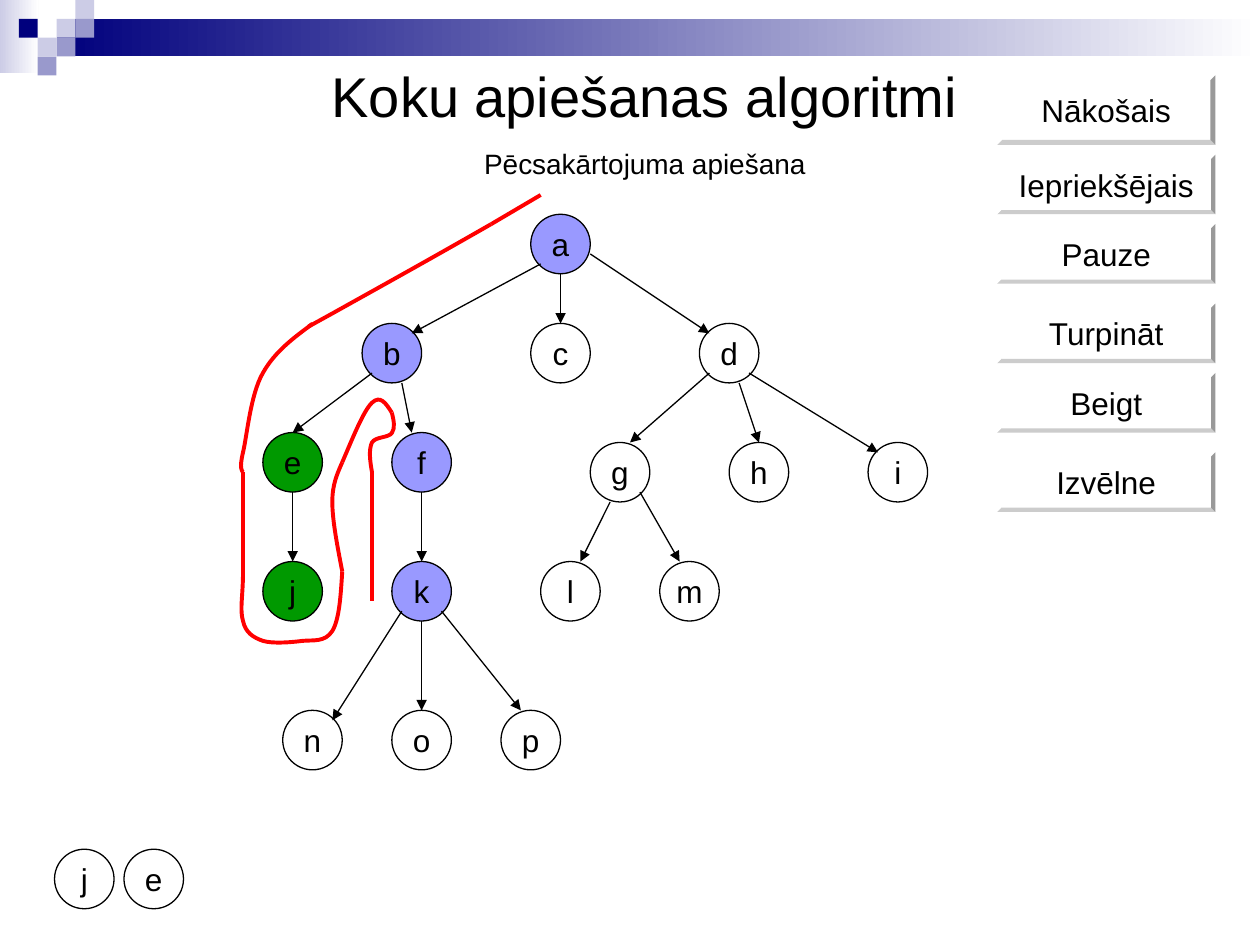
"""Build the slide on post-order tree traversal."""
from dataclasses import dataclass
from typing import Any

import pptx
import pptx.dml.color
import pptx.enum.shapes
import pptx.enum.text
import pptx.oxml
import pptx.oxml.ns
import pptx.util

Cm = pptx.util.Cm
Shape = pptx.enum.shapes.MSO_SHAPE
Point = tuple[float, float]

BLACK, WHITE, RED = "000000", "FFFFFF", "FF0000"
VISITED, FINISHED = "9999FF", "009900"
PALE, MEDIUM, NAVY = "CCCCE6", "9999CC", "00007D"
CELL = 0.38
DIAMETER = 1.2
FRAME_FORMAT = {"word_wrap": False, "vertical_anchor": pptx.enum.text.MSO_ANCHOR.MIDDLE}


@dataclass
class Node:
    label: str
    x: float
    y: float
    fill: str = WHITE


@dataclass
class Edge:
    parent: str
    child: str
    leave: Point = (0, 0.6)
    arrive: Point = (0, -0.6)


@dataclass
class Button:
    label: str
    top: float
    height: float = 1.2


@dataclass
class Curve:
    start: Point
    bends: list[Point]


NODES = [
    Node("a", 11.3, 4.92, VISITED),
    Node("b", 7.9, 7.12, VISITED), Node("c", 11.3, 7.12), Node("d", 14.7, 7.12),
    Node("e", 5.9, 9.32, FINISHED), Node("f", 8.5, 9.32, VISITED),
    Node("g", 12.5, 9.52), Node("h", 15.3, 9.52), Node("i", 18.1, 9.52),
    Node("j", 5.9, 11.92, FINISHED), Node("k", 8.5, 11.92, VISITED),
    Node("l", 11.5, 11.92), Node("m", 13.9, 11.92),
    Node("n", 6.3, 14.92), Node("o", 8.5, 14.92), Node("p", 10.7, 14.92),
]
OUTPUT = [Node("j", 1.7, 17.72), Node("e", 3.1, 17.72)]
EDGES = [
    Edge("a", "b", (-0.4, 0.4), (0.4, -0.4)),
    Edge("a", "c"),
    Edge("a", "d", (0.6, 0.2), (-0.4, -0.4)),
    Edge("b", "e", (-0.4, 0.4)),
    Edge("b", "f", (0.2, 0.6), (-0.2, -0.6)),
    Edge("d", "g", (-0.4, 0.4), (0.2, -0.6)),
    Edge("d", "h", (0.2, 0.6)),
    Edge("d", "i", (0.4, 0.4), (-0.4, -0.4)),
    Edge("e", "j"),
    Edge("f", "k"),
    Edge("g", "l", (-0.2, 0.6), (0.2, -0.6)),
    Edge("g", "m", (0.4, 0.4), (-0.2, -0.6)),
    Edge("k", "n", (-0.4, 0.4), (0.4, -0.4)),
    Edge("k", "o"),
    Edge("k", "p", (0.4, 0.4), (-0.2, -0.6)),
]
BUTTONS = [
    Button("Nākošais", 1.52, 1.4), Button("Iepriekšējais", 3.12), Button("Pauze", 4.52),
    Button("Turpināt", 6.12), Button("Beigt", 7.52), Button("Izvēlne", 9.12),
]
SQUARES = [
    (3, 1, PALE), (4, 0, PALE), (4, 1, MEDIUM), (2, 2, PALE),
    (1, 1, NAVY), (3, 2, MEDIUM), (2, 3, MEDIUM),
]
TRAIL = [
    Curve((9.9, 4.52), [(8.61, 5.26), (7.29, 5.99), (6.7, 6.32),
                        (6.1, 6.65), (6.2, 6.6), (6.3, 6.53)]),
    Curve((6.3, 6.53), [(5.92, 6.81), (5.54, 7.09), (5.3, 7.52),
                        (5.05, 7.95), (4.98, 8.79), (4.9, 9.12),
                        (4.82, 9.45), (4.88, 9.5), (4.9, 9.52)]),
    Curve((4.9, 9.52), [(4.9, 10.29), (4.9, 11.02), (4.9, 11.52),
                        (4.9, 12.02), (4.83, 12.29), (4.9, 12.52),
                        (4.95, 12.75), (5.1, 12.85), (5.3, 12.92),
                        (5.5, 12.98), (5.87, 12.95), (6.1, 12.92),
                        (6.33, 12.9), (6.55, 12.95), (6.7, 12.72),
                        (6.84, 12.49), (6.87, 12.01), (6.9, 11.52)]),
    Curve((6.9, 11.52), [(6.8, 11), (6.7, 10.49), (6.7, 10.12),
                         (6.7, 9.76), (6.8, 9.55), (6.9, 9.32)]),
    Curve((6.9, 9.32), [(7.12, 8.81), (7.33, 8.28), (7.5, 8.12),
                        (7.67, 7.96), (7.78, 8.13), (7.9, 8.32)]),
    Curve((7.9, 8.32), [(7.94, 8.48), (7.97, 8.63), (7.9, 8.73),
                        (7.83, 8.83), (7.57, 8.8), (7.5, 8.92),
                        (7.43, 9.06), (7.46, 9.3), (7.5, 9.52)]),
]


def color(value: str) -> pptx.dml.color.RGBColor:
    return pptx.dml.color.RGBColor.from_string(value)


def apply(target: Any, values: dict[str, Any]) -> None:
    for name, value in values.items():
        setattr(target, name, value)


def write(paragraph: Any, text: str, size: float) -> None:
    paragraph.alignment = pptx.enum.text.PP_ALIGN.CENTER
    span = paragraph.add_run()
    span.text = text
    apply(span.font, {"name": "Arial", "size": pptx.util.Pt(size)})
    span.font.color.rgb = color(BLACK)


def stroke(line: Any, value: str, width: float) -> None:
    line.color.rgb = color(value)
    line.width = pptx.util.Pt(width)


def draw_shape(page: Any, kind: Any, left: float, top: float, width: float,
               height: float, fill: str, label: str = "") -> Any:
    shape = page.shapes.add_shape(kind, Cm(left), Cm(top), Cm(width), Cm(height))
    shape.shadow.inherit = False
    shape.fill.solid()
    shape.fill.fore_color.rgb = color(fill)
    shape.line.fill.background()
    if label:
        apply(shape.text_frame, FRAME_FORMAT)
        write(shape.text_frame.paragraphs[0], label, 18)
    return shape


def draw_fade(page: Any, left: float, top: float, width: float, height: float, fill: str) -> None:
    shape = draw_shape(page, Shape.RECTANGLE, left, top, width, height, fill)
    shape.fill.gradient()
    shape.fill.gradient_angle = 0
    for stop, value in zip(shape.fill.gradient_stops, (fill, WHITE)):
        stop.color.rgb = color(value)


def draw_node(page: Any, node: Node) -> None:
    shape = draw_shape(page, Shape.OVAL, node.x - DIAMETER / 2, node.y - DIAMETER / 2,
                       DIAMETER, DIAMETER, node.fill, node.label)
    stroke(shape.line, BLACK, 0.75)


def draw_button(page: Any, button: Button) -> None:
    shape = draw_shape(page, Shape.BEVEL, 20.1, button.top, 4.4, button.height, WHITE, button.label)
    shape.adjustments[0] = 0.07


def draw_line(page: Any, start: Point, end: Point, value: str, width: float) -> Any:
    straight = pptx.enum.shapes.MSO_CONNECTOR.STRAIGHT
    line = page.shapes.add_connector(straight, *(Cm(part) for part in (*start, *end)))
    stroke(line.line, value, width)
    pptx.oxml.ns.qn("a:effectLst")
    line._element.spPr.append(pptx.oxml.parse_xml(
        f'<a:effectLst {pptx.oxml.ns.nsdecls("a")}/>'))
    return line


def draw_edge(page: Any, parent: Node, child: Node, edge: Edge) -> None:
    start = (parent.x + edge.leave[0], parent.y + edge.leave[1])
    end = (child.x + edge.arrive[0], child.y + edge.arrive[1])
    line = draw_line(page, start, end, BLACK, 0.75)
    line.line._get_or_add_ln().append(pptx.oxml.parse_xml(
        f'<a:tailEnd {pptx.oxml.ns.nsdecls("a")} type="triangle"/>'))


def draw_curve(page: Any, curve: Curve) -> None:
    builder = page.shapes.build_freeform(Cm(curve.start[0]), Cm(curve.start[1]))
    builder.add_line_segments([(Cm(x), Cm(y)) for x, y in curve.bends], close=False)
    shape = builder.convert_to_shape()
    shape.shadow.inherit = False
    shape.fill.background()
    stroke(shape.line, RED, 2.25)
    steps = list(shape._element.iter(pptx.oxml.ns.qn("a:lnTo")))
    for first in range(0, len(steps), 3):
        bend = pptx.oxml.parse_xml(f'<a:cubicBezTo {pptx.oxml.ns.nsdecls("a")}/>')
        steps[first].addprevious(bend)
        for step in steps[first:first + 3]:
            bend.append(step[0])
            step.getparent().remove(step)


def draw_title(page: Any) -> None:
    box = page.shapes.add_textbox(Cm(4.5), Cm(1.12), Cm(17), Cm(2.64))
    box.text_frame.word_wrap = True
    write(box.text_frame.paragraphs[0], "Koku apiešanas algoritmi", 32)
    subtitle = box.text_frame.add_paragraph()
    subtitle.space_before = pptx.util.Pt(10)
    write(subtitle, "Pēcsakārtojuma apiešana", 16)


def main() -> None:
    deck = pptx.Presentation()
    apply(deck, {"slide_width": Cm(25.4), "slide_height": Cm(19.05)})
    page = deck.slides.add_slide(deck.slide_layouts[6])
    draw_fade(page, 0, 0, 0.78, 1.47, PALE)
    draw_fade(page, 3 * CELL, CELL, 25.4 - 3 * CELL, 2 * CELL, NAVY)
    for column, row, fill in SQUARES:
        draw_shape(page, Shape.RECTANGLE, column * CELL, row * CELL, CELL, CELL, fill)
    draw_title(page)
    for button in BUTTONS:
        draw_button(page, button)
    for node in NODES + OUTPUT:
        draw_node(page, node)
    tree = {node.label: node for node in NODES}
    for edge in EDGES:
        draw_edge(page, tree[edge.parent], tree[edge.child], edge)
    draw_line(page, (10.9, 3.93), (9.9, 4.52), RED, 2.25)
    for curve in TRAIL:
        draw_curve(page, curve)
    draw_line(page, (7.5, 9.52), (7.5, 12.12), RED, 2.25)
    deck.save("out.pptx")


if __name__ == "__main__":
    main()
